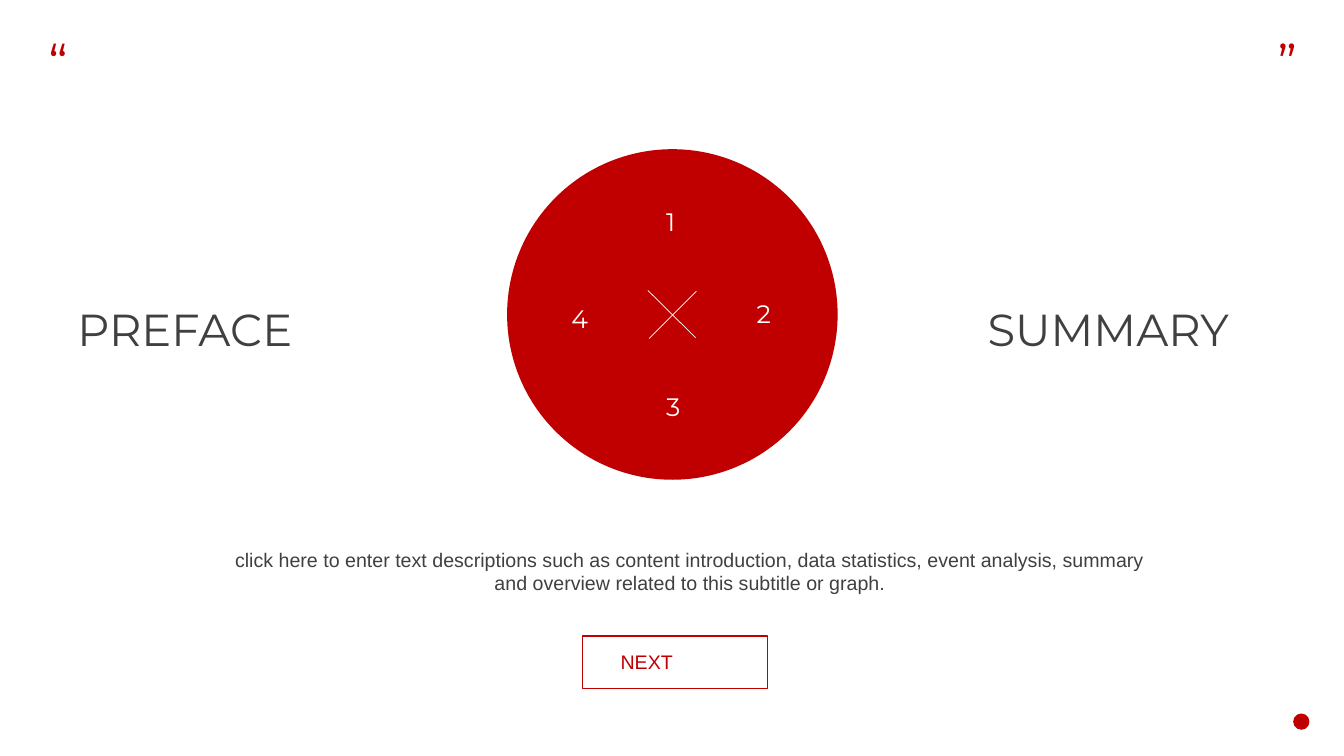
from dataclasses import dataclass

from lxml.etree import SubElement
from pptx import Presentation
from pptx.dml.color import RGBColor
from pptx.enum.shapes import MSO_CONNECTOR, MSO_SHAPE
from pptx.enum.text import MSO_AUTO_SIZE, PP_ALIGN
from pptx.oxml.ns import qn
from pptx.util import Cm, Pt

RED = RGBColor(0xC0, 0x00, 0x00)
GREY = RGBColor(0x40, 0x40, 0x40)
WHITE = RGBColor(0xFF, 0xFF, 0xFF)
HEADING_FONT = "Montserrat"
BODY_FONT = "Arial"


@dataclass(frozen=True)
class Area:
    """A rectangle on the page, in centimetres."""
    left: float
    top: float
    width: float
    height: float

    def lengths(self) -> tuple:
        return Cm(self.left), Cm(self.top), Cm(self.width), Cm(self.height)


@dataclass(frozen=True)
class Label:
    text: str
    area: Area


def add_text(page, text: str, area: Area, *, size: float, color: RGBColor,
             font: str = HEADING_FONT, align: PP_ALIGN = PP_ALIGN.LEFT,
             wrap: bool = False) -> None:
    box = page.shapes.add_textbox(*area.lengths())
    frame = box.text_frame
    frame.word_wrap = wrap
    frame.auto_size = MSO_AUTO_SIZE.SHAPE_TO_FIT_TEXT
    para = frame.paragraphs[0]
    para.alignment = align
    span = para.add_run()
    span.text = text
    span.font.name = font
    span.font.size = Pt(size)
    span.font.color.rgb = color


def add_plain_shape(page, kind: MSO_SHAPE, area: Area, *,
                    fill: RGBColor | None = None,
                    line: RGBColor | None = None) -> None:
    shape = page.shapes.add_shape(kind, *area.lengths())
    shape.shadow.inherit = False
    if fill is None:
        shape.fill.background()
    else:
        shape.fill.solid()
        shape.fill.fore_color.rgb = fill
    if line is None:
        shape.line.fill.background()
    else:
        shape.line.color.rgb = line
        shape.line.width = Pt(1)


def add_cross(page, strokes: list[tuple[float, float, float, float]]) -> None:
    group = page.shapes.add_group_shape()
    for stroke in strokes:
        line = group.shapes.add_connector(MSO_CONNECTOR.STRAIGHT, *map(Cm, stroke))
        line.line.color.rgb = WHITE
        line.line.width = Pt(0.5)
        SubElement(line._element.spPr, qn("a:effectLst"))


TITLES = [
    Label("PREFACE", Area(1.7, 7.47, 6.27, 1.63)),
    Label("SUMMARY", Area(24.64, 7.47, 7.06, 1.63)),
]
NUMBERS = [
    Label("1", Area(16.54, 5.08, 0.94, 1.02)),
    Label("2", Area(18.82, 7.39, 0.94, 1.02)),
    Label("3", Area(16.54, 9.73, 0.94, 1.02)),
    Label("4", Area(14.15, 7.52, 0.94, 1.02)),
]
QUOTES = [
    Label("“", Area(0.97, 0.66, 1.14, 1.8)),
    Label("”", Area(31.95, 0.66, 1.14, 1.8)),
]
CROSS = [(16.33, 7.32, 17.53, 8.51), (16.36, 8.53, 17.55, 7.34)]
DESCRIPTION = (
    "click here to enter text descriptions such as content introduction, "
    "data statistics, event analysis, summary and overview related to this "
    "subtitle or graph."
)


def main() -> None:
    deck = Presentation()
    deck.slide_width, deck.slide_height = Cm(33.87), Cm(19.05)
    page = deck.slides.add_slide(deck.slide_layouts[6])

    # Dial with its cross and numbers
    add_plain_shape(page, MSO_SHAPE.OVAL, Area(12.78, 3.76, 8.33, 8.33), fill=RED)
    add_cross(page, CROSS)
    for number in NUMBERS:
        add_text(page, number.text, number.area, size=18, color=WHITE,
                 wrap=number.text != "1")

    # Titles on either side
    for title in TITLES:
        add_text(page, title.text, title.area, size=32, color=GREY)

    # Description
    add_text(page, DESCRIPTION, Area(5.31, 13.67, 24.16, 1.45), size=14,
             color=GREY, font=BODY_FONT, align=PP_ALIGN.CENTER, wrap=True)

    # Button
    add_plain_shape(page, MSO_SHAPE.RECTANGLE, Area(14.68, 16.03, 4.67, 1.32), line=RED)
    add_text(page, "NEXT", Area(15.39, 16.26, 3.12, 0.86), size=14, color=RED,
             font=BODY_FONT, align=PP_ALIGN.JUSTIFY, wrap=True)

    # Corner decorations
    for quote in QUOTES:
        add_text(page, quote.text, quote.area, size=36, color=RED)
    add_plain_shape(page, MSO_SHAPE.OVAL, Area(32.59, 17.98, 0.41, 0.41), fill=RED)

    deck.save("out.pptx")


if __name__ == "__main__":
    main()
